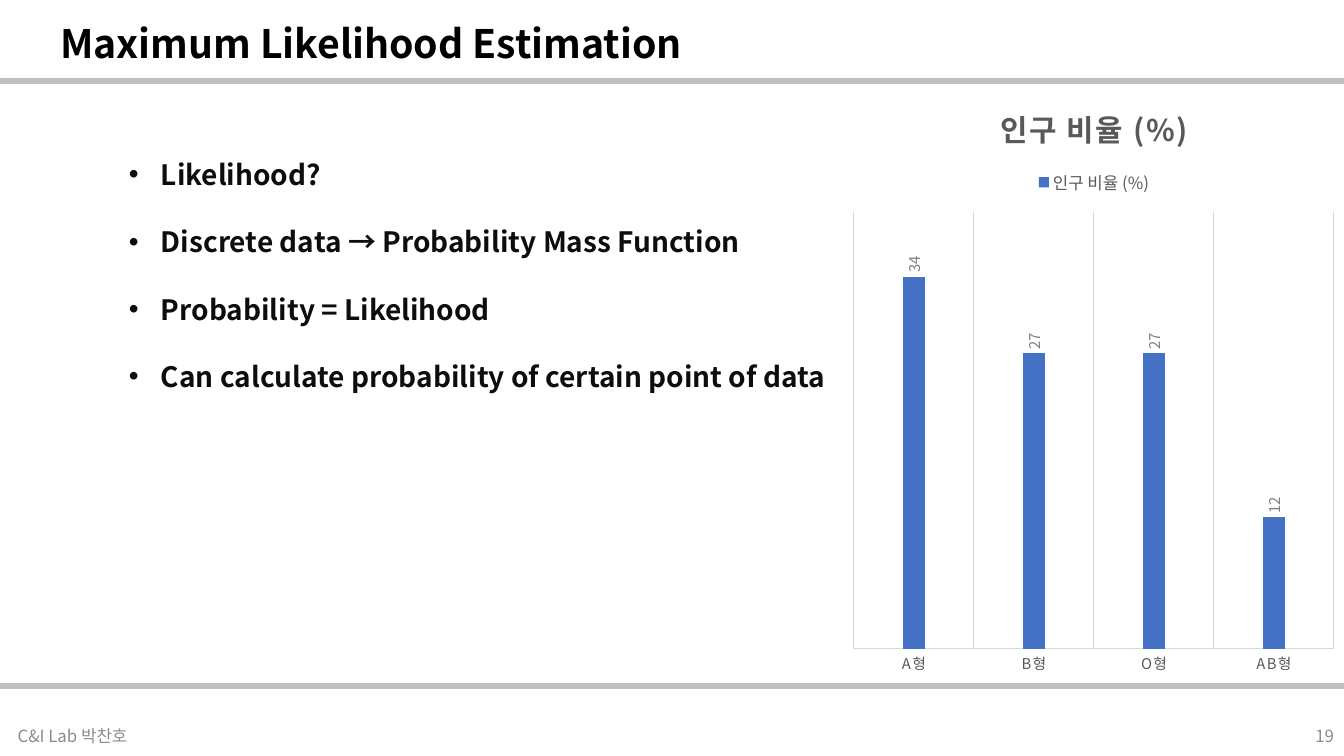
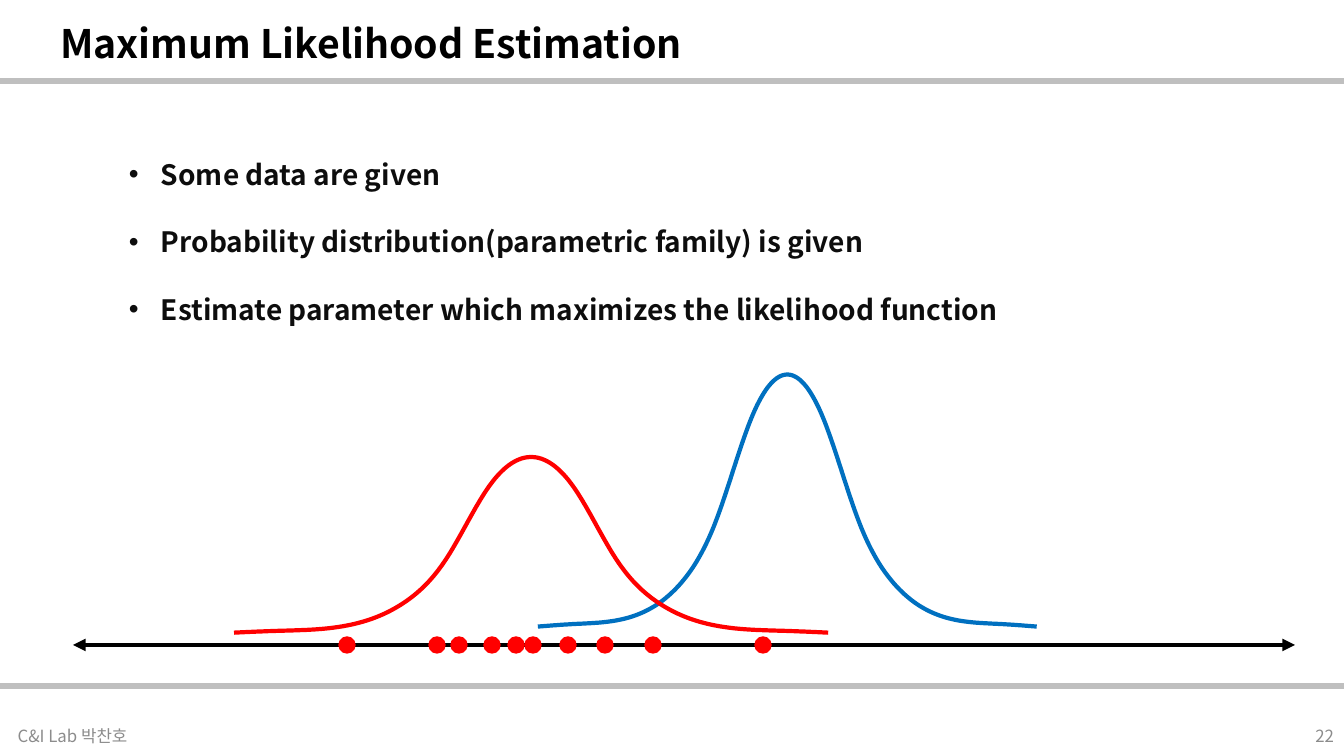
from dataclasses import dataclass

from lxml.etree import SubElement
from pptx import Presentation
from pptx.chart.data import CategoryChartData
from pptx.dml.color import RGBColor
from pptx.enum.chart import (XL_CHART_TYPE, XL_LABEL_POSITION,
                             XL_LEGEND_POSITION, XL_TICK_MARK)
from pptx.enum.shapes import MSO_CONNECTOR, MSO_SHAPE
from pptx.enum.text import MSO_ANCHOR, PP_ALIGN
from pptx.oxml import parse_xml
from pptx.oxml.ns import nsdecls, qn
from pptx.util import Emu, Inches, Pt

WIDE, HIGH = 1344, 756
SCALE = Inches(1) / 100.8


@dataclass(frozen=True)
class Theme:
    face: str = "Noto Sans CJK KR"
    plain: str = "{2D5ABB26-0587-4C30-8999-92F81FD0307C}"
    black: str = "000000"
    ink: str = "0D0D0D"
    rule: str = "BFBFBF"
    foot: str = "8C8C8C"
    label: str = "595959"
    value: str = "808080"
    grid: str = "D9D9D9"
    bar: str = "4472C4"
    blue: str = "0070C0"
    red: str = "FF0000"
    title: float = 28
    body: float = 20
    note: float = 12
    head: float = 21.3
    tick: float = 10.6


T = Theme()
BELL = (0, 1, 2, 6, 17, 42, 83, 100, 83, 42, 17, 6, 2, 1, 0)


def px(*sizes):
    return [Emu(round(size * SCALE)) for size in sizes]


def rgb(code):
    return RGBColor.from_string(code)


def style(font, size, color, bold=False):
    """Set a font for both Latin and Korean letters."""
    font.size, font.bold, font.name = Pt(size), bold, T.face
    font.color.rgb = rgb(color)
    SubElement(font._element, qn("a:ea"), typeface=T.face)


def space(font, gap):
    """Set letter spacing in hundredths of a point."""
    font._element.set("spc", str(gap))


def stroke(line, color, width):
    line.color.rgb, line.width = rgb(color), Pt(width)


def draw_axis(slide, start, end):
    line = slide.shapes.add_connector(MSO_CONNECTOR.STRAIGHT, *px(*start, *end))
    stroke(line.line, T.black, 3)
    for tag in ("a:headEnd", "a:tailEnd"):
        SubElement(line.get_or_add_ln(), qn(tag), type="triangle")
    SubElement(line._element.spPr, qn("a:effectLst"))


def add_text(slide, box, text, align):
    frame = slide.shapes.add_textbox(*px(*box)).text_frame
    frame.word_wrap, frame.vertical_anchor = True, MSO_ANCHOR.MIDDLE
    part = frame.paragraphs[0]
    part.text, part.alignment = text, align
    style(part.font, T.note, T.foot)


def add_band(slide, box, edge):
    """Add a one-cell table ruled on one edge, and return the cell."""
    table = slide.shapes.add_table(1, 1, *px(*box)).table
    table.first_row = table.horz_banding = False
    table._tbl.tblPr.find(qn("a:tableStyleId")).text = T.plain
    cell = table.cell(0, 0)
    cell.fill.background()
    cell._tc.get_or_add_tcPr().insert(0, parse_xml(
        f'<a:{edge} {nsdecls("a")} w="{Pt(4.5)}"><a:solidFill>'
        f'<a:srgbClr val="{T.rule}"/></a:solidFill></a:{edge}>'))
    return cell


def add_title(slide, box, text):
    cell = add_band(slide, box, "lnB")
    cell.vertical_anchor = MSO_ANCHOR.MIDDLE
    part = cell.text_frame.paragraphs[0]
    part.text, part.alignment, part.level = text, PP_ALIGN.JUSTIFY, 1
    props = part._p.get_or_add_pPr()
    props.set("marL", str(Inches(0.5)))
    props.set("indent", "0")
    style(part.font, T.title, T.black, True)


def add_list(slide, box, items):
    frame = slide.shapes.add_textbox(*px(*box)).text_frame
    frame.word_wrap = True
    hang, = px(32)
    for pos, item in enumerate(items):
        part = frame.add_paragraph() if pos else frame.paragraphs[0]
        part.text, part.alignment, part.line_spacing = item, PP_ALIGN.JUSTIFY, 2.0
        props = part._p.get_or_add_pPr()
        props.set("marL", str(hang))
        props.set("indent", str(-hang))
        SubElement(props, qn("a:buFont"), typeface="Arial")
        SubElement(props, qn("a:buChar"), char="•")
        style(part.font, T.body, T.ink, True)


def add_page(deck, number, items):
    """Add a slide with its title band, footer band and bullet list."""
    slide = deck.slides.add_slide(deck.slide_layouts[6])
    add_title(slide, (0, 1, WIDE, 80), "Maximum Likelihood Estimation")
    add_band(slide, (0, 686, WIDE, 70), "lnT")
    add_list(slide, (119, 119, 1092, 68 * len(items)), items)
    add_text(slide, (0, 716, 145, 40), "C&I Lab 박찬호", PP_ALIGN.CENTER)
    add_text(slide, (1270, 716, 74, 40), number, PP_ALIGN.RIGHT)
    return slide


def add_graph(slide, box, kind, cats, name, vals, top):
    """Add a clear chart of one series with a hidden value axis."""
    data = CategoryChartData()
    data.categories = cats
    data.add_series(name, vals)
    chart = slide.shapes.add_chart(kind, *px(*box), data).chart
    style(chart.font, 10, T.black)
    chart.has_title = chart.has_legend = False
    chart._chartSpace.chart.addnext(
        parse_xml(f'<c:spPr {nsdecls("c", "a")}><a:noFill/>'
                  '<a:ln><a:noFill/></a:ln></c:spPr>'))
    axis = chart.value_axis
    axis.visible = axis.has_major_gridlines = False
    axis.minimum_scale, axis.maximum_scale = 0, top
    return chart


def add_bars(slide, box):
    name = "인구 비율 (%)"
    chart = add_graph(slide, box, XL_CHART_TYPE.COLUMN_CLUSTERED,
                      ("A형", "B형", "O형", "AB형"), name, (34, 27, 27, 12), 40)
    chart.has_title = chart.has_legend = True
    head = chart.chart_title.text_frame.paragraphs[0]
    head.text = name
    style(head.runs[0].font, T.head, T.label, True)
    space(head.runs[0].font, 130)
    chart.legend.position = XL_LEGEND_POSITION.TOP
    chart.legend.include_in_layout = False
    style(chart.legend.font, T.note, T.label)

    axis = chart.category_axis
    axis.major_tick_mark = axis.minor_tick_mark = XL_TICK_MARK.NONE
    axis.has_major_gridlines = True
    for line in (axis.format.line, axis.major_gridlines.format.line):
        stroke(line, T.grid, 0.75)
    style(axis.tick_labels.font, T.tick, T.label)
    space(axis.tick_labels.font, 100)

    plot = chart.plots[0]
    plot.gap_width, plot.overlap, plot.vary_by_categories = 444, -90, False
    fill = plot.series[0].format.fill
    fill.solid()
    fill.fore_color.rgb = rgb(T.bar)
    labels = plot.series[0].data_labels
    labels.show_value, labels.position = True, XL_LABEL_POSITION.OUTSIDE_END
    style(labels.font, T.tick, T.value)
    turn = labels._element.find(".//" + qn("a:bodyPr"))
    turn.set("rot", "-5400000")
    turn.set("vert", "horz")


def add_bell(slide, box, color, y, h):
    """Draw a bell curve; y and h are the plot's shares of the box."""
    chart = add_graph(slide, box, XL_CHART_TYPE.LINE,
                      [str(n + 1) for n in range(len(BELL))],
                      "Series 1", BELL, 116)
    chart.category_axis.visible = False
    chart.plots[0].vary_by_categories = False
    curve = chart.plots[0].series[0]
    curve.smooth = True
    stroke(curve.format.line, color, 3)
    area = chart._chartSpace.chart.plotArea
    for old in area.findall(qn("c:layout")):
        area.remove(old)
    grid = parse_xml(f'<c:layout {nsdecls("c")}><c:manualLayout/></c:layout>')
    for tag, val in (("layoutTarget", "inner"), ("xMode", "edge"),
                     ("yMode", "edge"), ("x", 0.025), ("y", y),
                     ("w", 0.946), ("h", h)):
        SubElement(grid[0], qn("c:" + tag), val=str(val))
    area.insert(0, grid)


def add_curves(slide, box):
    """Two bell curves over a number line with sample dots."""
    x, y, w, h = box
    base, size = y + h, 16
    add_bell(slide, (x + 433, base - 327, 565, 325), T.blue, 0.05, 0.9)
    draw_axis(slide, (x, base), (x + w, base))
    for mid in (274, 364, 386, 419, 443, 460, 495, 532, 580, 690):
        dot = slide.shapes.add_shape(MSO_SHAPE.OVAL, *px(
            x + mid - size / 2, base - size / 2, size, size))
        dot.shadow.inherit = False
        dot.fill.solid()
        dot.fill.fore_color.rgb = rgb(T.red)
        stroke(dot.line, T.red, 1)
    add_bell(slide, (x + 123, base - 225, 673, 224), T.red, 0.04, 0.91)


def main():
    deck = Presentation()
    deck.slide_width, deck.slide_height = px(WIDE, HIGH)
    add_bars(add_page(deck, "19", (
        "Likelihood?",
        "Discrete data → Probability Mass Function",
        "Probability = Likelihood",
        "Can calculate probability of certain point of data",
    )), (844, 81, 500, 605))
    add_curves(add_page(deck, "22", (
        "Some data are given",
        "Probability distribution(parametric family) is given",
        "Estimate parameter which maximizes the likelihood function",
    )), (73, 318, 1222, 327))
    deck.save("out.pptx")


if __name__ == "__main__":
    main()
